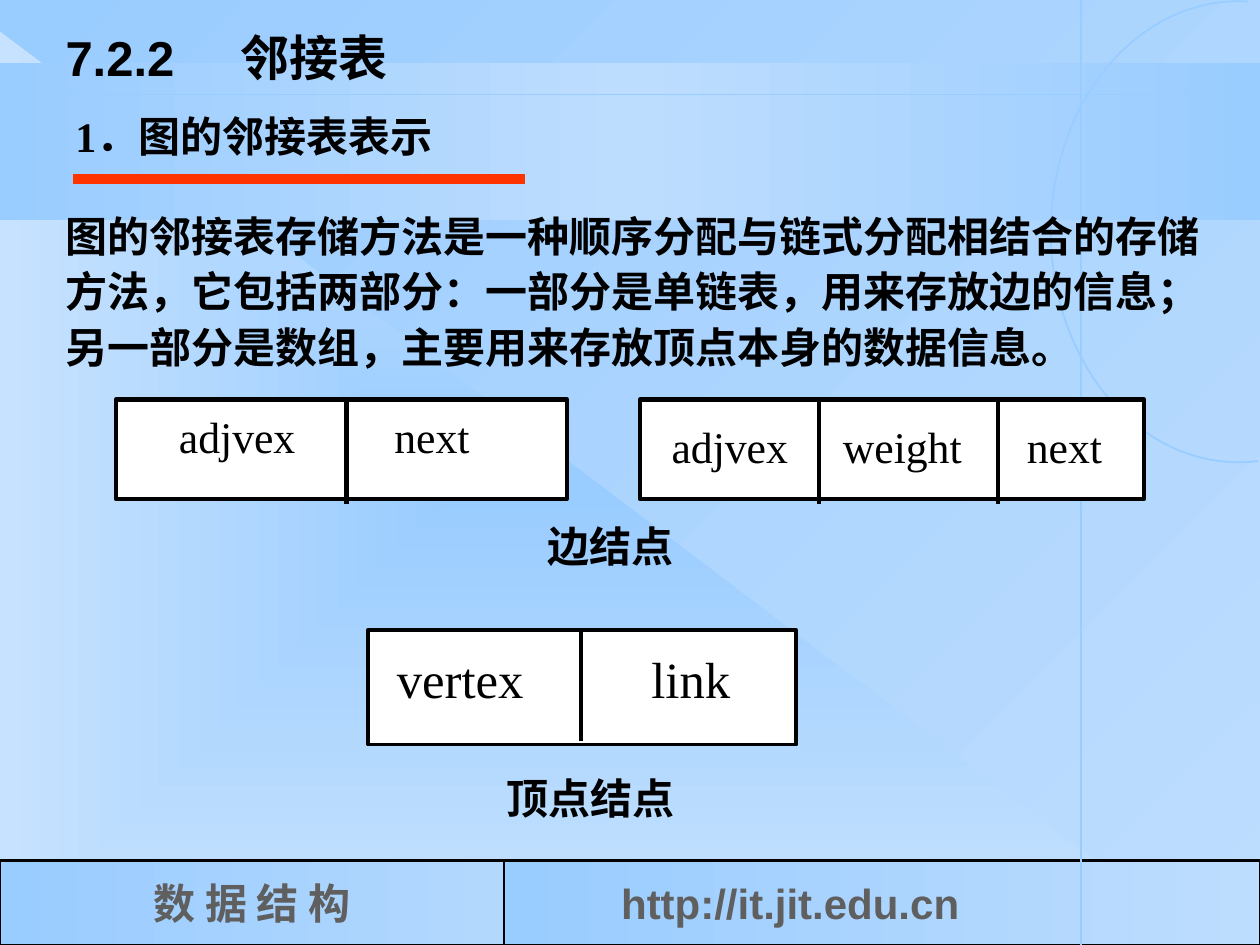
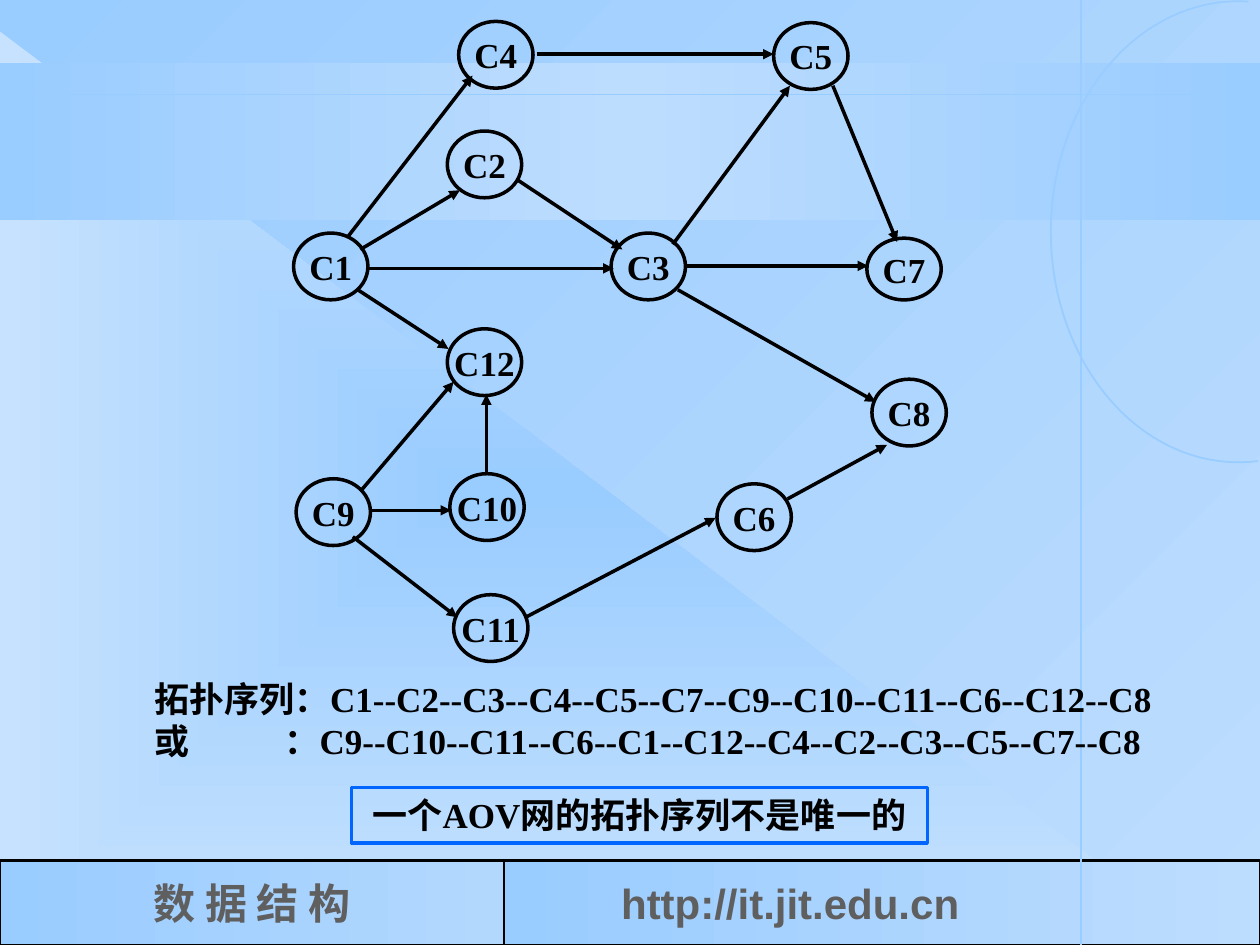
"""Two data-structure slides: adjacency list nodes and topological order of an AOV net."""
from math import cos, radians, sin

from lxml.etree import SubElement as Sub
from pptx import Presentation
from pptx.dml.color import RGBColor
from pptx.enum.shapes import MSO_CONNECTOR, MSO_SHAPE as SHAPE
from pptx.enum.text import MSO_ANCHOR as ANCHOR, MSO_AUTO_SIZE as FIT, PP_ALIGN as ALIGN
from pptx.oxml.ns import qn
from pptx.util import Inches, Pt

W, H = 10, 7.5
BLACK, WHITE, GREY, RED, BLUE = "000000", "FFFFFF", "5F5F5F", "FF3300", "0066FF"
SKY, PALE, MIST, HAZE = "99CCFF", "BDDDFE", "B3D8FE", "C7E2FE"
SERIF, SANS = "Times New Roman", "Arial"
FOOT_TOP, FOOT_H, FOOT_SPLIT = 6.83, 0.67, 0.4 * W

TITLE = "7.2.2\t邻接表"
HEADING = "1．图的邻接表表示"
BODY = ("图的邻接表存储方法是一种顺序分配与链式分配相结合的存储方法，"
        "它包括两部分：一部分是单链表，用来存放边的信息；"
        "另一部分是数组，主要用来存放顶点本身的数据信息。")
LABELS = [("边结点", (4.25, 4.08, 1.2, 0.5)), ("顶点结点", (3.92, 6.08, 1.53, 0.5))]
RECORDS = [
    dict(box=(2.92, 5, 3.4, 0.91), size=29, weight=2, text_top=5.14, line_end=5.88,
         fields=[("vertex", 3.15), ("link", 5.17)], dividers=[4.61]),
    dict(box=(0.92, 3.17, 3.58, 0.79), size=25, weight=2.5, text_top=3.25, line_end=4,
         fields=[("adjvex", 1.42), ("next", 3.13)], dividers=[2.75]),
    dict(box=(5.08, 3.17, 4, 0.79), size=25, weight=2.5, text_top=3.33, line_end=4,
         fields=[("adjvex", 5.33), ("weight", 6.69), ("next", 8.15)], dividers=[6.5, 7.92]),
]

NODE_W, NODE_H = 0.59, 0.53
NODES = {
    "C1": (2.33, 1.85), "C2": (3.55, 1.04), "C3": (4.85, 1.85), "C4": (3.64, 0.17),
    "C5": (6.14, 0.18), "C6": (5.69, 3.84), "C7": (6.88, 1.89), "C8": (6.92, 3.01),
    "C9": (2.35, 3.8), "C10": (3.57, 3.76), "C11": (3.6, 4.72), "C12": (3.55, 2.61),
}
NODE_HEIGHTS = {"C7": 0.49}
EDGES = {
    ("C1", "C3"): (2.92, 2.13, 4.87, 2.13), ("C1", "C2"): (2.86, 1.98, 3.65, 1.51),
    ("C2", "C3"): (4.11, 1.43, 4.94, 1.98), ("C1", "C4"): (2.76, 1.88, 3.75, 0.6),
    ("C4", "C5"): (4.26, 0.43, 6.14, 0.43), ("C3", "C5"): (5.34, 1.94, 6.27, 0.68),
    ("C3", "C7"): (5.45, 2.11, 6.89, 2.11), ("C5", "C7"): (6.61, 0.68, 7.12, 1.92),
    ("C1", "C12"): (2.84, 2.3, 3.56, 2.77), ("C9", "C12"): (2.86, 3.9, 3.6, 3.03),
    ("C9", "C10"): (2.95, 4.05, 3.58, 4.05), ("C10", "C12"): (3.86, 3.77, 3.86, 3.13),
    ("C9", "C11"): (2.8, 4.26, 3.63, 4.9), ("C11", "C6"): (4.17, 4.9, 5.68, 4.11),
    ("C6", "C8"): (6.25, 3.96, 7.04, 3.53), ("C3", "C8"): (5.38, 2.3, 6.95, 3.19),
}
ORDERS = ("拓扑序列：C1--C2--C3--C4--C5--C7--C9--C10--C11--C6--C12--C8\n"
          "或\t：C9--C10--C11--C6--C1--C12--C4--C2--C3--C5--C7--C8")
REMARK = "一个AOV网的拓扑序列不是唯一的"


def rgb(value):
    return RGBColor.from_string(value)


def stroke(line, color, weight):
    line.color.rgb = rgb(color)
    line.width = Pt(weight)


def gradient(fill, element, colors, angle=None):
    fill.gradient()
    g = element.find(".//" + qn("a:gradFill"))
    for child in list(g):
        g.remove(child)
    stops = Sub(g, qn("a:gsLst"))
    for i, color in enumerate(colors):
        stop = Sub(stops, qn("a:gs"), pos=str(100000 * i // (len(colors) - 1)))
        Sub(stop, qn("a:srgbClr"), val=color)
    if angle is None:
        path = Sub(g, qn("a:path"), path="rect")
        Sub(path, qn("a:fillToRect"), {side: "50000" for side in "ltrb"})
    else:
        Sub(g, qn("a:lin"), ang=str(angle * 60000), scaled="1")


def write(shape, text, size, font=SERIF, color=BLACK, bold=True, align=ALIGN.LEFT,
          anchor=ANCHOR.TOP, wrap=True, margins=(0.1, 0.05, 0.1, 0.05), tabs=(), spacing=None):
    tf = shape.text_frame
    frame = dict(zip(("margin_left", "margin_top", "margin_right", "margin_bottom"),
                     map(Inches, margins)))
    frame.update(word_wrap=wrap, vertical_anchor=anchor, auto_size=FIT.NONE)
    for key, value in frame.items():
        setattr(tf, key, value)
    for i, line in enumerate(text.split("\n")):
        p = tf.add_paragraph() if i else tf.paragraphs[0]
        p.alignment = align
        if spacing:
            p.line_spacing = spacing
        if tabs:
            stops = Sub(p._p.get_or_add_pPr(), qn("a:tabLst"))
            for tab in tabs:
                Sub(stops, qn("a:tab"), pos=str(Inches(tab)), algn="l")
        r = p.add_run()
        r.text = line
        for key, value in dict(size=Pt(size), name=font, bold=bold).items():
            setattr(r.font, key, value)
        r.font.color.rgb = rgb(color)


def add_text(s, at, text, size, **fmt):
    write(s.shapes.add_textbox(*map(Inches, at)), text, size, **fmt)


def add_box(s, at, kind=SHAPE.RECTANGLE, fill=None, line=None, weight=2, angle=None):
    sp = s.shapes.add_shape(kind, *map(Inches, at))
    sp.shadow.inherit = False
    if isinstance(fill, list):
        gradient(sp.fill, sp.element, fill, angle)
    elif fill:
        sp.fill.solid()
        sp.fill.fore_color.rgb = rgb(fill)
    else:
        sp.fill.background()
    if line:
        stroke(sp.line, line, weight)
    else:
        sp.line.fill.background()
    return sp


def add_line(s, ends, color=BLACK, weight=2, arrow=False):
    c = s.shapes.add_connector(MSO_CONNECTOR.STRAIGHT, *map(Inches, ends))
    stroke(c.line, color, weight)
    if arrow:
        Sub(c.line._get_or_add_ln(), qn("a:tailEnd"), type="triangle")
    Sub(c.element.spPr, qn("a:effectLst"))


def add_arc(s, cx, cy, rx, ry):
    points = [(Inches(cx - rx * cos(radians(a))), Inches(cy - ry * sin(radians(a))))
              for a in range(93, -97, -3)]
    builder = s.shapes.build_freeform(*points[0])
    builder.add_line_segments(points[1:], close=False)
    sp = builder.convert_to_shape()
    sp.shadow.inherit = False
    sp.fill.background()
    stroke(sp.line, SKY, 1)


def build_master(prs, s):
    master = prs.slide_master
    gradient(master.background.fill, master.element, [PALE, SKY], 225)
    add_box(s, (0, 0.25, 9.58, 7.25), SHAPE.RIGHT_TRIANGLE, [SKY, HAZE])
    add_box(s, (0, 0.5, W, 1.25), fill=[SKY, PALE, SKY], angle=180)
    course = add_box(s, (0, FOOT_TOP, FOOT_SPLIT, FOOT_H), fill=[MIST, SKY], angle=180,
                     line=BLACK, weight=1.5)
    site = add_box(s, (FOOT_SPLIT, FOOT_TOP, W - FOOT_SPLIT, FOOT_H), fill=[SKY, PALE],
                   angle=0, line=BLACK, weight=1.5)
    write(course, "数 据 结 构", 24, color=GREY, align=ALIGN.CENTER, anchor=ANCHOR.MIDDLE)
    write(site, "http://it.jit.edu.cn", 24, SANS, GREY, anchor=ANCHOR.MIDDLE,
          margins=(0.93, 0.05, 0.1, 0.05))
    add_line(s, (0, 0.75, W, 0.75), SKY, 1)
    add_line(s, (8.58, 0, 8.58, H), SKY, 1.5)
    add_arc(s, 9.83, 1.84, 1.49, 1.83)
    for number, sp in enumerate(list(s.shapes), 101):
        sp.element.find(".//" + qn("p:cNvPr")).set("id", str(number))
        master.shapes.element.append(sp.element)


def add_record(s, box, size, weight, text_top, line_end, fields, dividers):
    left, top, width, _ = box
    start = fields[0][1]
    add_box(s, box, fill=WHITE, line=BLACK, weight=weight)
    add_text(s, (start, text_top, left + width - start, 0.45),
             "\t".join(name for name, _ in fields), size, bold=False,
             margins=(0, 0, 0, 0), tabs=[x - start for _, x in fields[1:]])
    for x in dividers:
        add_line(s, (x, top, x, line_end), weight=weight)


def build_adjacency(s):
    title = s.shapes.title
    for key, value in zip(("left", "top", "width", "height"), (0.42, 0.17, 7.83, 0.57)):
        setattr(title, key, Inches(value))
    write(title, TITLE, 28, SANS, tabs=[1.39])
    add_text(s, (0.5, 0.83, 8.17, 0.5), HEADING, 24)
    add_line(s, (0.58, 1.42, 4.17, 1.42), RED, 6)
    add_text(s, (0.42, 1.58, 9.25, 1.42), BODY, 24, spacing=1.1)
    for record in RECORDS:
        add_record(s, **record)
    for text, at in LABELS:
        add_text(s, at, text, 24, wrap=False)


def build_topology(s):
    for name, (x, y) in NODES.items():
        node = add_box(s, (x, y, NODE_W, NODE_HEIGHTS.get(name, NODE_H)), SHAPE.OVAL, line=BLACK)
        write(node, name, 20, align=ALIGN.CENTER, anchor=ANCHOR.MIDDLE, wrap=False)
    for ends in EDGES.values():
        add_line(s, ends, arrow=True)
    add_text(s, (1.13, 5.33, 8.4, 0.77), ORDERS, 20, tabs=[1.03])
    remark = add_box(s, (2.79, 6.25, 4.57, 0.44), line=BLUE)
    write(remark, REMARK, 20, align=ALIGN.CENTER, wrap=False)


def main():
    prs = Presentation()
    prs.slide_width, prs.slide_height = Inches(W), Inches(H)
    adjacency = prs.slides.add_slide(prs.slide_layouts[5])
    topology = prs.slides.add_slide(prs.slide_layouts[6])
    build_master(prs, topology)
    build_adjacency(adjacency)
    build_topology(topology)
    prs.save("out.pptx")


if __name__ == "__main__":
    main()
